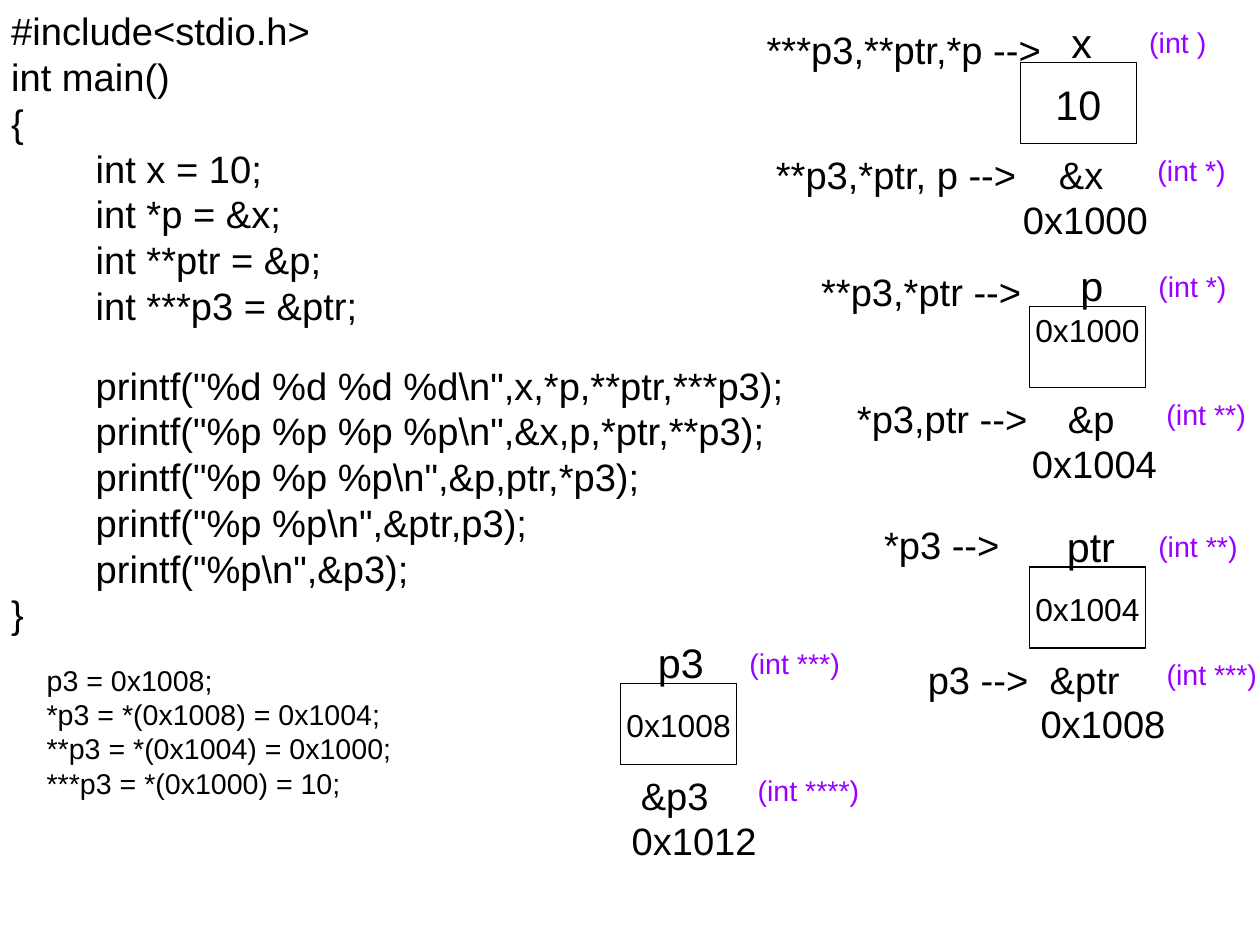
from pptx import Presentation
from pptx.dml.color import RGBColor as Rgb
from pptx.enum.shapes import MSO_SHAPE as Kind
from pptx.enum.text import MSO_ANCHOR as Anchor, PP_ALIGN as Align
from pptx.util import Pt

BLACK, WHITE, PURPLE = "000000", "FFFFFF", "9900FF"

CODE = r'''#include<stdio.h>
int main()
{
        int x = 10;
        int *p = &x;
        int **ptr = &p;
        int ***p3 = &ptr;
        printf("%d %d %d %d\n",x,*p,**ptr,***p3);
        printf("%p %p %p %p\n",&x,p,*ptr,**p3);
        printf("%p %p %p\n",&p,ptr,*p3);
        printf("%p %p\n",&ptr,p3);
        printf("%p\n",&p3);
}'''
STEPS = """p3 = 0x1008;
*p3 = *(0x1008) = 0x1004;
**p3 = *(0x1004) = 0x1000;
***p3 = *(0x1000) = 10;"""

# Left, top, name, value, address, stars, value size, name width, label shift
CELLS = [
    (642.7, 39.4, "x", "10", "0x1000", 0, 26, 35, 0),
    (648.4, 193, "p", "0x1000", "0x1004", 1, 20, 36, 0),
    (648.4, 357.1, "ptr", "0x1004", "0x1008", 2, 20, 52, 1),
    (390.8, 430.4, "p3", "0x1008", "0x1012", 3, 20, 52, 1),
]

# Expressions that reach a cell or its address: left, top, width, text
NOTES = [
    (475.9, 11.5, 191.5, "***p3,**ptr,*p -->"),
    (481.7, 90.7, 174.2, "**p3,*ptr, p -->"),
    (510.2, 164.2, 143, "**p3,*ptr -->"),
    (532.8, 244.1, 124, "*p3,ptr -->"),
    (549.8, 323.3, 90, "*p3 -->"),
    (577.4, 408.2, 85.7, "p3 -->"),
]


def rgb(code):
    return Rgb.from_string(code)


def write(shape, text, size=24, color=BLACK, align=Align.LEFT, wrap=False,
          anchor=Anchor.TOP, top=5, gap=None):
    frame = shape.text_frame
    frame.word_wrap = wrap
    frame.vertical_anchor = anchor
    frame.margin_left = frame.margin_right = Pt(7.2)
    frame.margin_top, frame.margin_bottom = Pt(top), Pt(3.6)
    for i, line in enumerate(text.split("\n")):
        para = frame.add_paragraph() if i else frame.paragraphs[0]
        para.alignment = align
        if i and i == gap:
            para.space_before = Pt(21.5)
        run = para.add_run()
        run.text = line
        run.font.name = "Arial"
        run.font.size = Pt(size)
        run.font.color.rgb = rgb(color)


def label(slide, x, y, w, h, text, **style):
    box = slide.shapes.add_textbox(Pt(x), Pt(y), Pt(w), Pt(h))
    write(box, text, **style)


def kind(slide, x, y, stars):
    text = "(int " + "*" * stars + ")"
    label(slide, x, y, 50.4 + 7 * stars, 27.4, text,
          size=18, color=PURPLE, top=4.3)


def cell(slide, x, y, name, value, addr, stars, size, wide, shift):
    # Memory box with its value
    box = slide.shapes.add_shape(Kind.RECTANGLE, Pt(x), Pt(y),
                                 Pt(73.4), Pt(51.1))
    box.shadow.inherit = False
    box.fill.solid()
    box.fill.fore_color.rgb = rgb(WHITE)
    box.line.color.rgb = rgb(BLACK)
    box.line.width = Pt(0.75)
    high = name == "p"
    write(box, value, size=size, align=Align.CENTER, top=3 if high else 5,
          anchor=Anchor.TOP if high else Anchor.MIDDLE)

    # Name above, address below
    label(slide, x + (16.6 if shift else 25.2), y - 33.8, wide, 36, name,
          size=26)
    label(slide, x + (5.8 if shift else 17.3), y + 51.1,
          62.6 if shift else 51.1, 33.8, "&" + name, wrap=True)
    label(slide, x - (0 if shift else 5.4), y + 79.2, 102.2, 33.8, addr,
          wrap=True)

    # Types of the value and of the address
    kind(slide, x + 74.2, y - 28.1, stars)
    kind(slide, x + 79.4, y + 52.4, stars + 1)


def main():
    deck = Presentation()
    deck.slide_width, deck.slide_height = Pt(793.75), Pt(595.25)
    slide = deck.slides.add_slide(deck.slide_layouts[6])

    # Program and its results
    label(slide, 0, 1.4, 521.3, 388.1, CODE, wrap=True, top=3.6, gap=7)
    label(slide, 22.3, 414, 345.6, 89.3, STEPS, size=18, wrap=True, top=3.6)

    # Memory diagram
    for item in CELLS:
        cell(slide, *item)
    for x, y, w, text in NOTES:
        label(slide, x, y, w, 33.8, text)

    deck.save("out.pptx")


if __name__ == "__main__":
    main()
